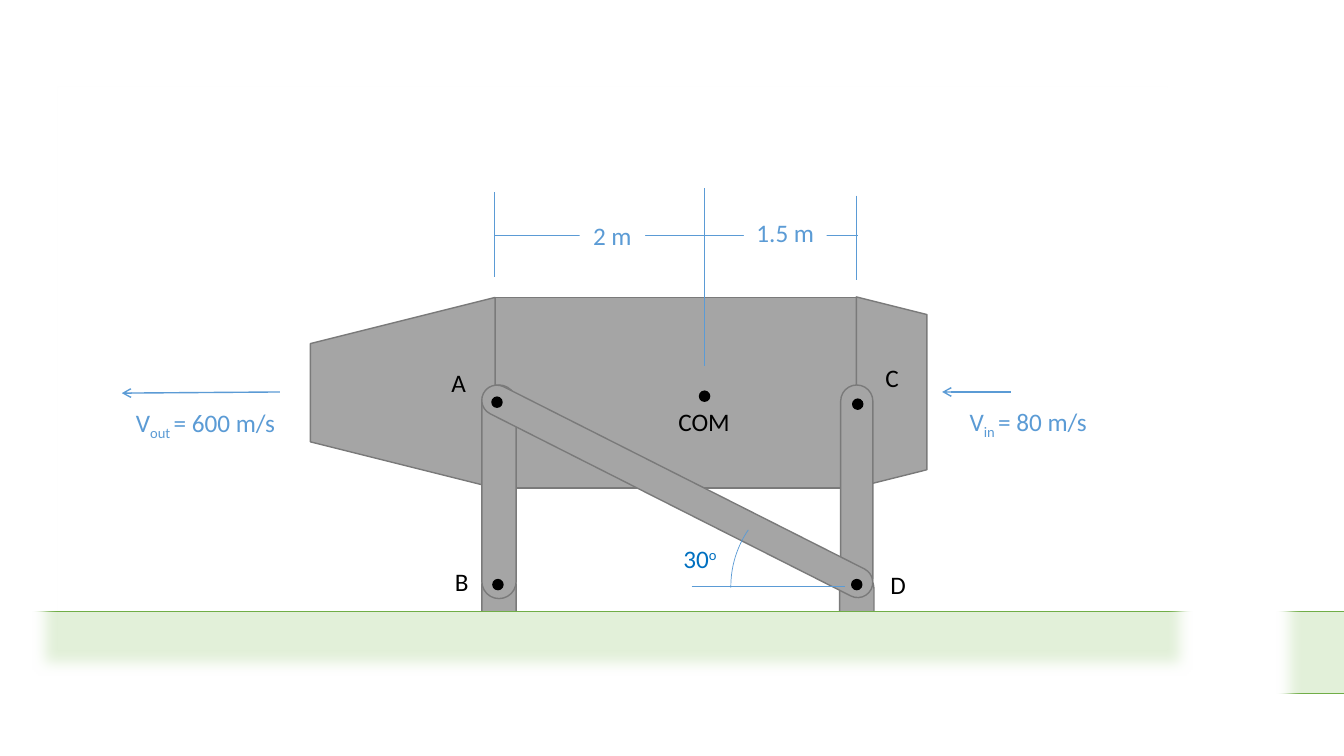
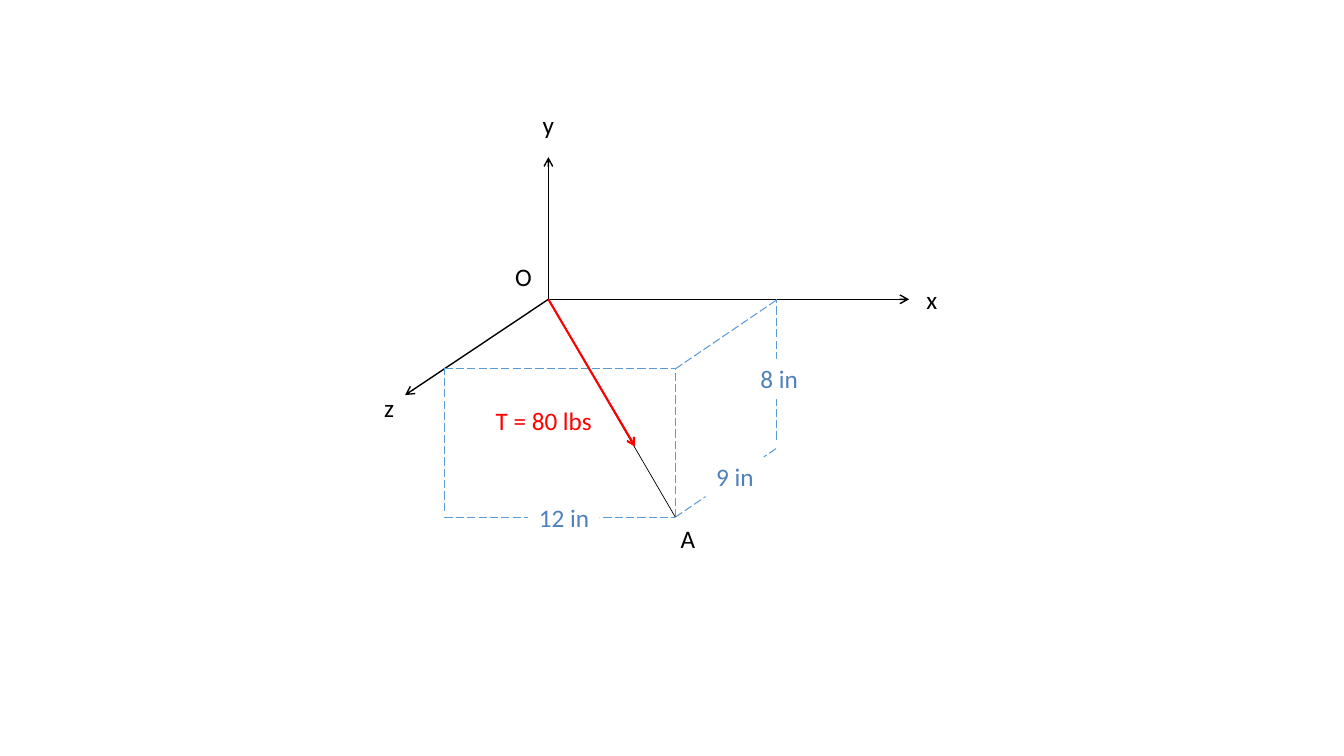
from pptx import Presentation
from pptx.dml.color import RGBColor as RGB
from pptx.enum.dml import MSO_LINE as Dash
from pptx.enum.shapes import MSO_CONNECTOR as Link, MSO_SHAPE as Kind
from pptx.enum.text import PP_ALIGN as Align
from pptx.oxml.ns import qn
from pptx.util import Pt
from lxml.etree import SubElement as Sub

BLACK = RGB(0x00, 0x00, 0x00)
WHITE = RGB(0xFF, 0xFF, 0xFF)
RED = RGB(0xFF, 0x00, 0x00)
BLUE = RGB(0x5B, 0x9B, 0xD5)
STEEL = RGB(0x4F, 0x81, 0xBD)
DEEP = RGB(0x00, 0x70, 0xC0)
GREY = RGB(0xA5, 0xA5, 0xA5)
EDGE = RGB(0x7A, 0x7A, 0x7A)
GRASS = RGB(0xE2, 0xF0, 0xD9)
GREEN = RGB(0x70, 0xAD, 0x47)


class Sketch:
    """Draw diagram parts on the current slide, with all lengths in points."""

    font = "Calibri"
    size = 18
    high = 28.8
    dot = 7.2

    def __init__(self):
        self.deck = Presentation()
        self.deck.slide_width, self.deck.slide_height = Pt(960), Pt(540)
        self.shapes = None

    def page(self):
        slide = self.deck.slides.add_slide(self.deck.slide_layouts[6])
        self.shapes = slide.shapes

    def shape(self, kind, box, fill=GREY, line=EDGE, width=1, turn=0, adj=()):
        item = self.shapes.add_shape(kind, *map(Pt, box))
        item.shadow.inherit = False
        item.rotation = turn
        for i, value in enumerate(adj):
            item.adjustments[i] = value
        if fill is None:
            item.fill.background()
        else:
            item.fill.solid()
            item.fill.fore_color.rgb = fill
        if line is None:
            item.line.fill.background()
        else:
            item.line.color.rgb = line
            item.line.width = Pt(width)
        return item

    def bar(self, box, turn=0):
        self.shape(Kind.ROUNDED_RECTANGLE, box, turn=turn, adj=[0.5])

    def pin(self, x, y):
        half = self.dot / 2
        box = (x - half, y - half, self.dot, self.dot)
        self.shape(Kind.OVAL, box, BLACK, BLACK)

    def mask(self, box, thick, soft):
        item = self.shape(Kind.FRAME, box, WHITE, None, adj=[thick])
        effect = item._element.spPr.find(qn("a:effectLst"))
        Sub(effect, qn("a:softEdge"), rad=str(Pt(soft)))

    def line(self, start, end, color=BLUE, width=0.5, dash=False, arrow=False):
        ends = map(Pt, (*start, *end))
        item = self.shapes.add_connector(Link.STRAIGHT, *ends)
        item.line.color.rgb = color
        item.line.width = Pt(width)
        if dash:
            item.line.dash_style = Dash.LONG_DASH
        if arrow:
            Sub(item.line._get_or_add_ln(), qn("a:tailEnd"), type="arrow")
        Sub(item._element.spPr, qn("a:effectLst"))

    def label(self, parts, x, y, width, color=BLACK, fill=None, shift=0):
        item = self.shapes.add_textbox(*map(Pt, (x, y, width, self.high)))
        if fill is not None:
            item.fill.solid()
            item.fill.fore_color.rgb = fill
        item.text_frame.word_wrap = False
        para = item.text_frame.paragraphs[0]
        para.alignment = Align.CENTER
        for i, text in enumerate(parts):
            run = para.add_run()
            run.text = text
            run.font.name = self.font
            run.font.size = Pt(self.size)
            run.font.color.rgb = color
            if shift and i == 1:
                run._r.get_or_add_rPr().set("baseline", str(shift * 1000))


def engine(art):
    """Draw the engine on its stand with flow speeds and spacings."""
    art.page()
    art.shape(Kind.RECTANGLE, (353.5, 212.4, 258.5, 136.1))
    art.shape(Kind.TRAPEZOID, (219.6, 214.6, 136.1, 131.8), turn=270)
    art.shape(Kind.TRAPEZOID, (568.8, 254.9, 136.1, 50.4), turn=90)
    art.bar((344.2, 405.4, 24.5, 93.6))
    art.bar((344.2, 275, 24.5, 152.6))
    art.bar((599.8, 408.2, 24.5, 93.6))
    art.shape(Kind.RECTANGLE, (0, 436.5, 960, 59), GRASS, GREEN, 0.5)
    art.mask((-53.3, -33.1, 983.5, 592.6), 0.161, 10)
    art.bar((600.5, 275, 23, 149.8))
    art.pin(355.7, 417.6)
    art.bar((473, 195.8, 21.6, 310.3), 296.8)
    for x, y in ((612, 417.6), (612.7, 288.7), (503.3, 283)):
        art.pin(x, y)

    for text, x, y, width in (
        ("A", 311.8, 258.5, 31.7),
        ("B", 313.9, 401, 31.7),
        ("C", 621.4, 255.6, 31.7),
        ("D", 625.7, 403.2, 31.7),
        ("COM", 475.9, 286.6, 54),
    ):
        art.label([text], x, y, width)

    art.line((722, 280), (673, 280), width=1, arrow=True)
    art.label(("V", "in ", "= 80 m/s"), 682.6, 286.6, 103.7, BLUE, WHITE, -25)
    art.line((200, 280), (87, 280.8), width=1, arrow=True)
    art.label(("V", "out ", "= 600 m/s"), 87.8, 287.3, 118, BLUE, WHITE, -25)

    for x, top, end in (
        (352.8, 137.5, 198),
        (503.3, 134.6, 261.4),
        (611.5, 139.7, 200.2),
    ):
        art.line((x, top), (x, end))
    art.line((612.7, 167.8), (352.8, 167.8))
    art.label(["2 m"], 414, 154.1, 46.8, BLUE, WHITE)
    art.label(["1.5 m"], 531.4, 151.9, 59, BLUE, WHITE)
    art.pin(355, 287.3)

    art.line((494, 419), (603.4, 419))
    arc = (522, 347, 144, 144)
    art.shape(Kind.ARC, arc, None, BLUE, 0.5, 180, (215.63, 20.54))
    art.label(("30", "o"), 480.2, 384.5, 39.6, DEEP, shift=30)


def force(art):
    """Draw the tension vector in its dashed box on three axes."""
    art.page()
    zero = (391.7, 213.8)
    for tip in ((391.7, 112.3), (649.4, 213.8), (289.4, 282.2)):
        art.line(zero, tip, BLACK, 1, arrow=True)
    for text, x, y, width in (
        ("x", 654.5, 199.4, 22.3),
        ("y", 380.2, 74.9, 23),
        ("z", 267.1, 276.5, 21.6),
        ("O", 360.7, 182.9, 26.6),
        ("A", 478.8, 370.1, 25.2),
    ):
        art.label([text], x, y, width)
    art.label(["T = 80 lbs"], 346.3, 285.8, 84.2, RED)

    left, right, back = 317.5, 482.4, 554.4
    top, base = 263.5, 369.4
    for start, end in (
        ((left, top), (right, top)),
        ((right, top), (back, 214.5)),
        ((right, base), (right, top)),
        ((left, base), (right, base)),
        ((right, base), (back, 320.4)),
        ((back, 314), (back, 213.8)),
        ((left, 365), (left, top)),
    ):
        art.line(start, end, width=0.75, dash=True)
    art.line(zero, (right, base), BLACK)
    art.line(zero, (453.6, 319), RED, 1.5, arrow=True)
    for text, x, y, width in (
        ("12 in", 377.3, 355, 51.1),
        ("9 in", 504, 326.2, 41.8),
        ("8 in", 535.7, 256.3, 41.8),
    ):
        art.label([text], x, y, width, STEEL, WHITE)


def main():
    """Build both slides and save the deck."""
    art = Sketch()
    engine(art)
    force(art)
    art.deck.save("out.pptx")


if __name__ == "__main__":
    main()
